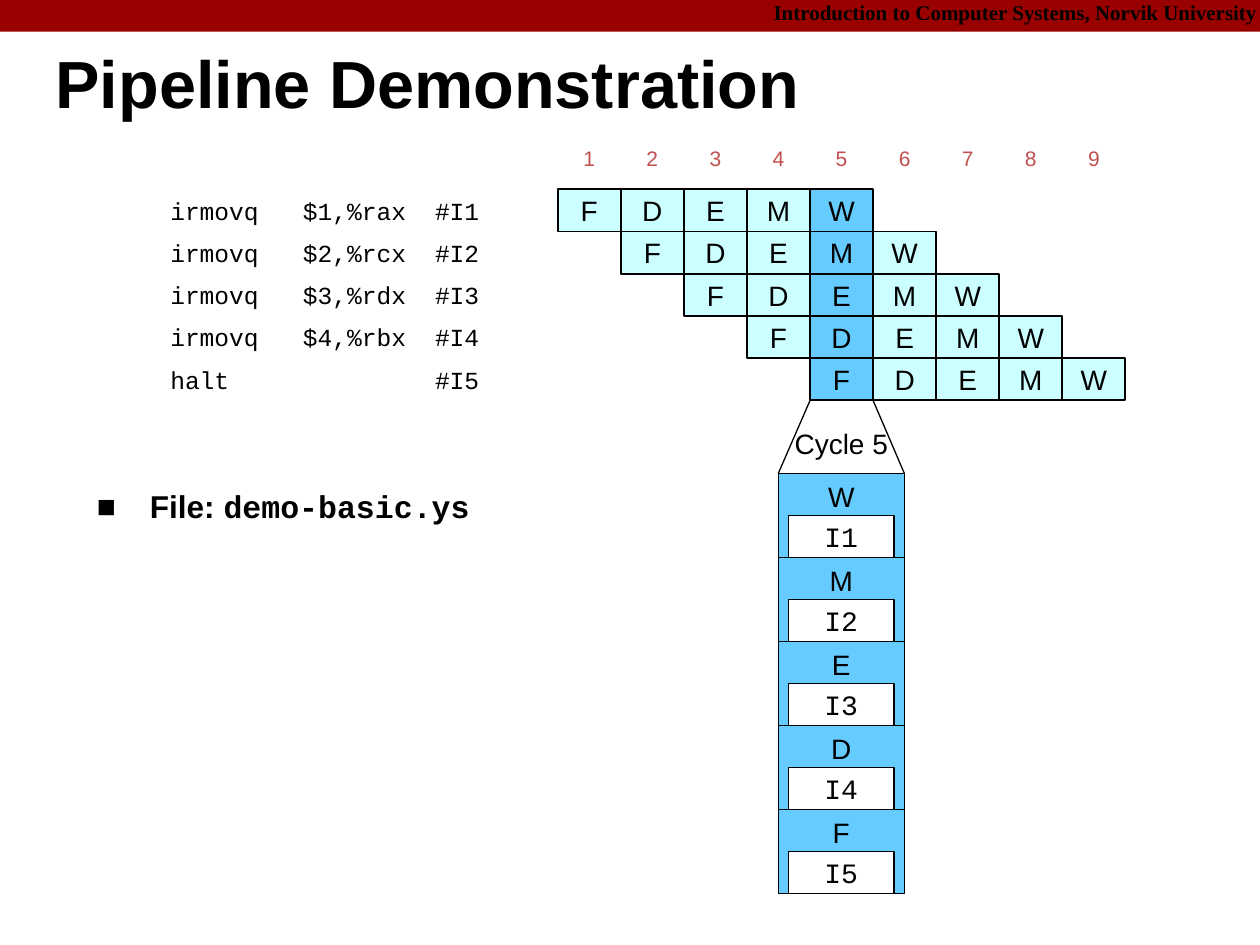
from lxml.etree import SubElement
from pptx import Presentation
from pptx.dml.color import RGBColor
from pptx.enum.shapes import MSO_CONNECTOR, MSO_SHAPE
from pptx.enum.text import MSO_ANCHOR, PP_ALIGN
from pptx.oxml.ns import qn
from pptx.util import Cm, Pt

COLORS = {
    "black": "000000",
    "white": "FFFFFF",
    "banner": "990000",
    "cycle": "C0504D",
    "stage": "CCFFFF",
    "current": "66CCFF",
}
SLIDE_WIDTH, SLIDE_HEIGHT = 25.37, 19.02

# Pipeline grid, in centimetres
CELL_WIDTH, ROW_HEIGHT = 1.27, 0.85
GRID_LEFT, GRID_TOP = 11.23, 3.81
CYCLES = 9
CURRENT_CYCLE = 5
STAGES = "FDEMW"
PROGRAM = [
    ("irmovq", "$1,%rax", "#I1"),
    ("irmovq", "$2,%rcx", "#I2"),
    ("irmovq", "$3,%rdx", "#I3"),
    ("irmovq", "$4,%rbx", "#I4"),
    ("halt", "", "#I5"),
]
CODE_TABS = (2.67, 5.33)

# Enlarged view of the current cycle
DETAIL_LEFT, DETAIL_TOP = 15.67, 9.53
DETAIL_WIDTH, DETAIL_HEIGHT = 2.54, 1.69
LABEL_INSET = 0.21


def color(name):
    return RGBColor.from_string(COLORS[name])


def style_span(span, size, font="Arial", ink="black", bold=False):
    span.font.size = Pt(size)
    span.font.name = font
    span.font.bold = bold
    span.font.color.rgb = color(ink)


def add_box(page, left, top, width, height, fill, line=None):
    box = page.shapes.add_shape(
        MSO_SHAPE.RECTANGLE, Cm(left), Cm(top), Cm(width), Cm(height))
    box.shadow.inherit = False
    box.fill.solid()
    box.fill.fore_color.rgb = color(fill)
    if line:
        box.line.color.rgb = color("black")
        box.line.width = Pt(line)
    else:
        box.line.fill.background()
    return box


def write(box, text, size, align=PP_ALIGN.CENTER, anchor=MSO_ANCHOR.MIDDLE,
          **style):
    frame = box.text_frame
    frame.text = text
    frame.word_wrap = True
    frame.vertical_anchor = anchor
    para = frame.paragraphs[0]
    para.alignment = align
    for span in para.runs:
        style_span(span, size, **style)
    return para


def add_text_box(page, left, top, width, height):
    return page.shapes.add_textbox(Cm(left), Cm(top), Cm(width), Cm(height))


def add_line(page, start, end):
    line = page.shapes.add_connector(
        MSO_CONNECTOR.STRAIGHT, *(Cm(value) for value in start + end))
    line.line.color.rgb = color("black")
    line.line.width = Pt(0.75)
    SubElement(line._element.spPr, qn("a:effectLst"))


def add_tab_stops(para, positions):
    tabs = SubElement(para._p.get_or_add_pPr(), qn("a:tabLst"))
    for position in positions:
        SubElement(tabs, qn("a:tab"), pos=str(Cm(position)), algn="l")


def add_banner(page):
    add_box(page, 0, 0, SLIDE_WIDTH, 0.64, "banner")
    box = add_text_box(page, 15.24, 0, 10.13, 0.64)
    box.text_frame.margin_top = box.text_frame.margin_right = Cm(0.05)
    para = write(box, "Introduction to Computer Systems, Norvik University",
                 12, PP_ALIGN.RIGHT, MSO_ANCHOR.TOP,
                 font="Times New Roman", bold=True)
    para.line_spacing = 0.9


def add_title(page):
    box = add_text_box(page, 1.12, 0.69, 24.18, 2.16)
    frame = box.text_frame
    frame.margin_left = frame.margin_right = 0
    frame.margin_top = frame.margin_bottom = 0
    para = write(box, "Pipeline Demonstration", 38, PP_ALIGN.LEFT, bold=True)
    para.line_spacing = 0.87


def add_file_bullet(page):
    box = add_text_box(page, 1.7, 9.73, 8.46, 1.47)
    para = write(box, "File: ", 18, PP_ALIGN.LEFT, MSO_ANCHOR.TOP, bold=True)
    para.line_spacing = 0.95
    file_name = para.add_run()
    file_name.text = "demo-basic.ys"
    style_span(file_name, 18, "Courier New", bold=True)
    properties = para._p.get_or_add_pPr()
    properties.set("marL", str(Cm(1.07)))
    properties.set("indent", str(Cm(-1.07)))
    SubElement(properties, qn("a:buFont"), typeface="Arial")
    SubElement(properties, qn("a:buChar"), char="■")


def add_cycle_numbers(page):
    for column in range(CYCLES):
        box = add_box(page, GRID_LEFT + column * CELL_WIDTH, 2.75,
                      CELL_WIDTH, ROW_HEIGHT, "white")
        write(box, str(column + 1), 12, ink="cycle")


def add_instruction(page, row, parts):
    top = GRID_TOP + row * ROW_HEIGHT
    code = add_box(page, 3.18, top, 7.2, ROW_HEIGHT, "white")
    para = write(code, "\t".join(parts), 14, PP_ALIGN.LEFT,
                 font="Courier New")
    add_tab_stops(para, CODE_TABS)
    # Each instruction enters the pipeline one cycle after the previous one
    for column, stage in enumerate(STAGES, start=row):
        fill = "current" if column + 1 == CURRENT_CYCLE else "stage"
        cell = add_box(page, GRID_LEFT + column * CELL_WIDTH, top,
                       CELL_WIDTH, ROW_HEIGHT, fill, line=1)
        write(cell, stage, 16)


def add_cycle_detail(page):
    # Lines that widen the current column into the detail view
    column_left = GRID_LEFT + (CURRENT_CYCLE - 1) * CELL_WIDTH
    grid_bottom = GRID_TOP + len(PROGRAM) * ROW_HEIGHT
    add_line(page, (column_left, grid_bottom), (DETAIL_LEFT, DETAIL_TOP))
    add_line(page, (column_left + CELL_WIDTH, grid_bottom),
             (DETAIL_LEFT + DETAIL_WIDTH, DETAIL_TOP))
    caption = add_text_box(page, DETAIL_LEFT, 8.46, DETAIL_WIDTH, 0.94)
    write(caption, f"Cycle {CURRENT_CYCLE}", 16, anchor=MSO_ANCHOR.TOP)

    # One box per stage, with the instruction it holds
    for index, stage in enumerate(reversed(STAGES)):
        top = DETAIL_TOP + index * DETAIL_HEIGHT
        box = add_box(page, DETAIL_LEFT, top, DETAIL_WIDTH, DETAIL_HEIGHT,
                      "current", line=0.75)
        write(box, stage, 16, anchor=MSO_ANCHOR.TOP)
        label = add_box(page, DETAIL_LEFT + LABEL_INSET,
                        top + DETAIL_HEIGHT / 2,
                        DETAIL_WIDTH - 2 * LABEL_INSET, DETAIL_HEIGHT / 2,
                        "white", line=0.75)
        write(label, f"I{index + 1}", 16, font="Courier New")


def main():
    deck = Presentation()
    deck.slide_width, deck.slide_height = Cm(SLIDE_WIDTH), Cm(SLIDE_HEIGHT)
    page = deck.slides.add_slide(deck.slide_layouts[6])
    add_banner(page)
    add_title(page)
    add_file_bullet(page)
    add_cycle_numbers(page)
    for row, parts in enumerate(PROGRAM):
        add_instruction(page, row, parts)
    add_cycle_detail(page)
    deck.save("out.pptx")


if __name__ == "__main__":
    main()
